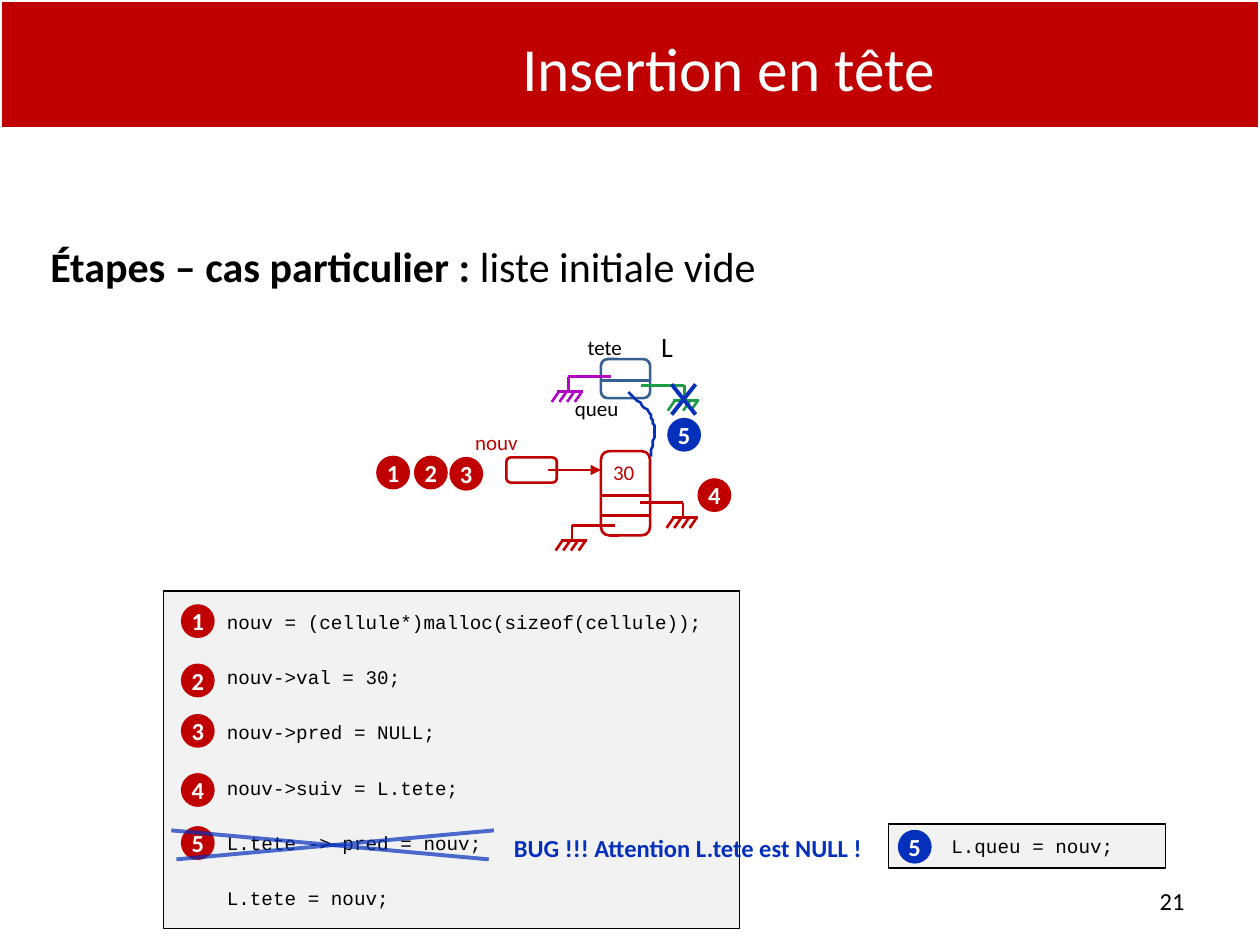
from pptx import Presentation
from pptx.dml.color import RGBColor
from pptx.enum.shapes import MSO_CONNECTOR, MSO_SHAPE
from pptx.enum.text import MSO_ANCHOR as Anchor, PP_ALIGN as Align
from pptx.oxml.ns import qn
from pptx.util import Pt
from lxml.etree import SubElement

RED = RGBColor(0xC0, 0x00, 0x00)
BLUE = RGBColor(0x05, 0x30, 0xBB)
STEEL = RGBColor(0x36, 0x60, 0x92)
PURPLE = RGBColor(0xB1, 0x05, 0xC3)
GREEN = RGBColor(0x1C, 0x9C, 0x47)
GREY = RGBColor(0xF2, 0xF2, 0xF2)
BLACK = RGBColor(0x00, 0x00, 0x00)
WHITE = RGBColor(0xFF, 0xFF, 0xFF)

BADGE = 17.3
CODE = {"name": "Courier New", "size": Pt(11)}
CODE_LINES = [
    "nouv = (cellule*)malloc(sizeof(cellule));",
    "nouv->val = 30;",
    "nouv->pred = NULL;",
    "nouv->suiv = L.tete;",
    "L.tete -> pred = nouv;",
    "L.tete = nouv;",
]


def add_span(para, text, colour=BLACK, **formats):
    """Add a run to a paragraph and apply its font formats."""
    span = para.add_run()
    span.text = text
    for name, value in {"name": "Calibri", "bold": False, **formats}.items():
        setattr(span.font, name, value)
    span.font.color.rgb = colour


def set_frame(frame, **formats):
    """Apply format values to a text frame."""
    for name, value in formats.items():
        setattr(frame, name, value)


def add_label(page, box, text, size, colour=BLACK, align=Align.CENTER, bold=False, anchor=Anchor.TOP):
    """Place a single line of text."""
    frame = page.shapes.add_textbox(*map(Pt, box)).text_frame
    set_frame(frame, word_wrap=False, vertical_anchor=anchor)
    para = frame.paragraphs[0]
    para.alignment = align
    add_span(para, text, colour, size=Pt(size), bold=bold)


def add_block(page, kind, box, line, width, fill=None):
    """Place an outlined preset shape, filled when a colour is given."""
    block = page.shapes.add_shape(kind, *map(Pt, box))
    block.shadow.inherit = False
    if fill is None:
        block.fill.background()
    else:
        block.fill.solid()
        block.fill.fore_color.rgb = fill
    block.line.color.rgb = line
    block.line.width = Pt(width)
    return block


def add_line(page, start, end, colour, width=1.5, arrow=False, alpha=None):
    """Draw a straight line, with an optional arrowhead or opacity in percent."""
    line = page.shapes.add_connector(MSO_CONNECTOR.STRAIGHT, *map(Pt, (*start, *end)))
    line.line.color.rgb = colour
    line.line.width = Pt(width)
    stroke = line.line._get_or_add_ln()
    if alpha:
        tint = stroke.find(".//" + qn("a:srgbClr"))
        SubElement(tint, qn("a:alpha"), val=str(alpha * 1000))
    if arrow:
        SubElement(stroke, qn("a:tailEnd"), type="triangle")
    SubElement(line._element.spPr, qn("a:effectLst"))


def add_badge(page, left, top, number, colour=RED):
    """Draw a numbered step disc."""
    disc = add_block(page, MSO_SHAPE.OVAL, (left, top, BADGE, BADGE), colour, 2, colour)
    frame = disc.text_frame
    set_frame(frame, word_wrap=False, vertical_anchor=Anchor.MIDDLE,
              margin_left=0, margin_right=0, margin_top=0, margin_bottom=0)
    frame.paragraphs[0].alignment = Align.CENTER
    add_span(frame.paragraphs[0], str(number), WHITE, size=Pt(14), bold=True)


def add_cross(page, box, skew=0, alpha=None):
    """Strike out a box with two diagonals."""
    left, top, width, height = box
    right, bottom = left + width, top + height
    add_line(page, (left, top), (right - skew, bottom), BLUE, 2.25, alpha=alpha)
    add_line(page, (right, top), (left + skew, bottom), BLUE, 2.25, alpha=alpha)


def add_ground(page, left, top, side, colour):
    """Draw a null pointer: a lead, a drop and a toothed bar."""
    drop, bar = left + side * 24.5, top + 8.6
    add_line(page, (left, top), (drop, top), colour)
    add_line(page, (drop, top), (drop, bar), colour)
    add_line(page, (drop - 6.3, bar), (drop + 8.6, bar), colour)
    for step in range(4):
        tooth = drop - 5.4 + 4.4 * step
        add_line(page, (tooth, bar), (tooth - 4, bar + 5.8), colour)


def add_record(page, box, colour, dividers=()):
    """Draw a rounded record split by horizontal dividers."""
    left, top, width, _ = box
    record = add_block(page, MSO_SHAPE.ROUNDED_RECTANGLE, box, colour, 1.5)
    record.adjustments[0] = 0.17
    for offset in dividers:
        add_line(page, (left, top + offset), (left + width, top + offset), colour)


def add_curve(page, start, segments):
    """Draw a smooth open line through cubic segments."""
    points = [start]
    for segment in segments:
        knots = (points[-1], *segment)
        for step in range(1, 13):
            t = step / 12
            weights = ((1 - t) ** 3, 3 * t * (1 - t) ** 2, 3 * t * t * (1 - t), t ** 3)
            points.append(tuple(sum(w * k[axis] for w, k in zip(weights, knots)) for axis in (0, 1)))
    builder = page.shapes.build_freeform(*start, scale=Pt(1))
    builder.add_line_segments(points[1:], close=False)
    curve = builder.convert_to_shape()
    curve.shadow.inherit = False
    curve.fill.background()
    curve.line.color.rgb = BLUE
    curve.line.width = Pt(1.5)


def add_header(page, box):
    """Draw the title band."""
    left, top, _, _ = box
    add_block(page, MSO_SHAPE.RECTANGLE, box, WHITE, 2, RED)
    add_label(page, (left + 156, top + 13.7, 521, 49.7), "Insertion en tête", 35, WHITE, anchor=Anchor.MIDDLE)


def add_subject(page, box):
    """Write the heading of the case under study."""
    frame = page.shapes.add_textbox(*map(Pt, box)).text_frame
    set_frame(frame, word_wrap=True, margin_left=Pt(8.6))
    para = frame.paragraphs[0]
    para.alignment = Align.JUSTIFY
    add_span(para, "Étapes – cas particulier : ", size=Pt(24), bold=True)
    add_span(para, "liste initiale vide", size=Pt(24))


def add_code(page, box, lines):
    """Draw a code panel with evenly spaced lines."""
    panel = add_block(page, MSO_SHAPE.RECTANGLE, box, BLACK, 0.75, GREY)
    frame = panel.text_frame
    set_frame(frame, word_wrap=True, vertical_anchor=Anchor.MIDDLE, margin_left=Pt(36))
    for index, text in enumerate(lines):
        para = frame.add_paragraph() if index else frame.paragraphs[0]
        para.alignment = Align.LEFT
        if index:
            para.space_before = Pt(18.3)
        add_span(para, text, **CODE)


def add_steps(page, box):
    """Draw the numbered code with its struck-out faulty line."""
    left, top, _, _ = box
    add_code(page, box, CODE_LINES)
    for number, offset in enumerate((8.6, 42.5, 71.3, 105.1, 135.4), 1):
        add_badge(page, left + 10.8, top + offset, number)
    add_cross(page, (left + 4.3, top + 136.8, 184.3, 16.6), 2.9, 69)
    add_label(page, (left + 193, top + 134.6, 249, 24.5), "BUG !!! Attention L.tete est NULL !",
              14, BLUE, Align.LEFT, True)


def add_fix(page, box):
    """Draw the corrected fifth step."""
    left, top, _, _ = box
    add_code(page, box, ["L.queu = nouv;"])
    add_badge(page, left + 6.5, top + 4.3, 5, BLUE)


def add_diagram(page, box):
    """Draw the list header, the new cell and their pointers."""
    left, top, _, _ = box

    def at(x, y, *size):
        return (left + x, top + y, *size)

    add_record(page, at(133.4, 21.2, 28.1, 22.3), STEEL, (12.2,))
    add_record(page, at(133.4, 73.8, 28.1, 48.2), RED, (25.2, 36.7))
    add_record(page, at(79.4, 77.4, 28.8, 14.4), RED)
    add_line(page, at(103.2, 84.6), at(133.4, 84.6), RED, arrow=True)
    for x, y, side, colour in ((139.2, 31.3, -1, PURPLE), (156.5, 36.3, 1, GREEN),
                               (141.4, 116.2, -1, RED), (155.8, 103.3, 1, RED)):
        add_ground(page, *at(x, y), side, colour)
    for x, y, width, text, size, colour in (
            (99.6, 3.9, 72, "tete", 12, BLACK), (100.3, 38.5, 61.2, "queu", 12, BLACK),
            (157.9, 1, 26.6, "L", 16, BLACK), (53.5, 57.9, 40.3, "nouv", 12, RED),
            (132.7, 75.2, 27.4, "30", 12, RED)):
        add_label(page, at(x, y, width, 21.6), text, size, colour)
    add_curve(page, at(148.6, 39.9), [(at(154.3, 45), at(160.8, 50), at(163, 56.5)),
                                      (at(165.1, 62.2), at(163, 69.4), at(161.5, 76.6))])
    add_cross(page, at(173.8, 35.6, 13.7, 17.3))
    for number, x, y, colour in ((1, 6, 77.4, RED), (2, 27.6, 77.4, RED), (3, 47.8, 78.1, RED),
                                 (4, 189.6, 90.3, RED), (5, 172.3, 55.8, BLUE)):
        add_badge(page, *at(x, y), number, colour)


def main():
    """Build the slide and save the deck."""
    deck = Presentation()
    deck.slide_width, deck.slide_height = Pt(720), Pt(540)
    page = deck.slides.add_slide(deck.slide_layouts[6])
    add_subject(page, (20.2, 133.9, 674.6, 40))
    add_header(page, (0, 0, 720, 73.4))
    add_steps(page, (93.6, 337.7, 329, 193))
    add_fix(page, (507.6, 470.9, 158.4, 25.2))
    add_diagram(page, (210, 184, 216, 136))
    add_label(page, (516.2, 500.4, 167.8, 28.8), "21", 14, align=Align.RIGHT, anchor=Anchor.MIDDLE)
    deck.save("out.pptx")


if __name__ == "__main__":
    main()
